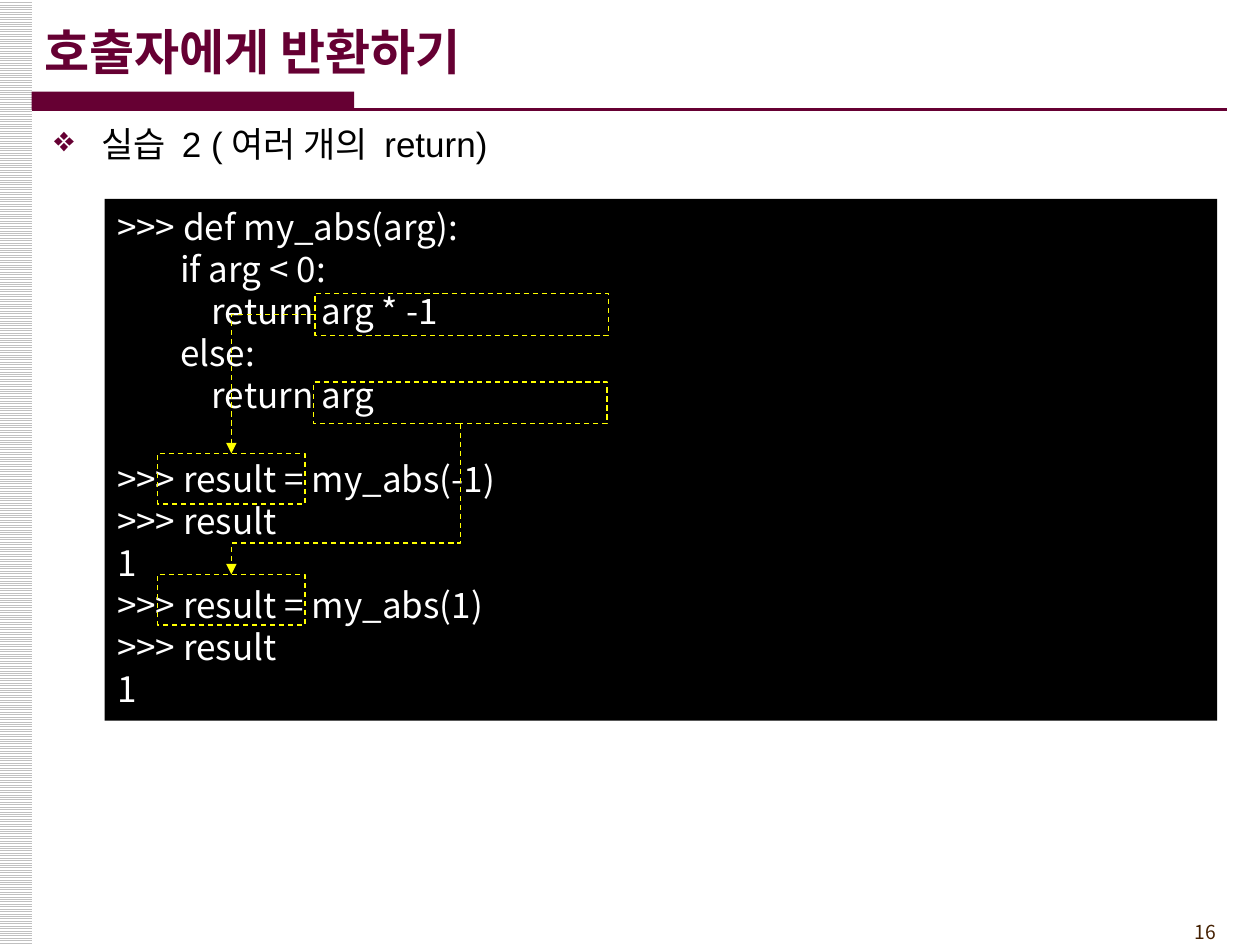
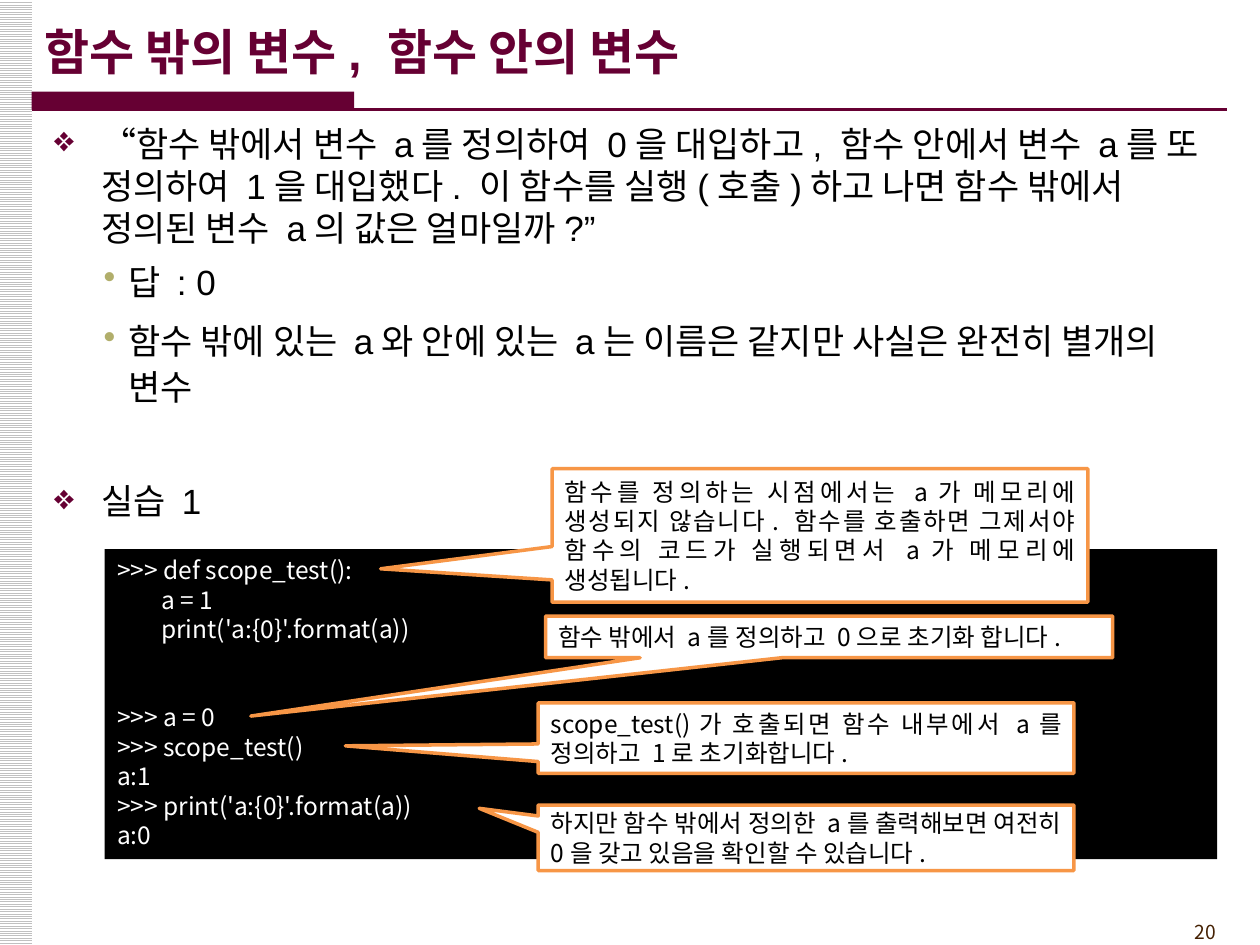
from lxml.etree import SubElement
from pptx import Presentation
from pptx.dml.color import RGBColor
from pptx.enum.dml import MSO_LINE_DASH_STYLE as DASH, MSO_PATTERN_TYPE as PATTERN
from pptx.enum.shapes import MSO_CONNECTOR as LINK, MSO_SHAPE as SHAPE
from pptx.enum.text import MSO_ANCHOR as ANCHOR, PP_ALIGN as ALIGN
from pptx.oxml.ns import qn
from pptx.util import Cm, Pt

rgb = RGBColor.from_string
WINE, OLIVE, BROWN, ORANGE = "660033", "B1AE6B", "452103", "F79646"
BLACK, WHITE, YELLOW, GREY = "000000", "FFFFFF", "FFFF00", "C0C0C0"
KOREAN = "Noto Sans CJK KR"


def write(frame, text, size=20, font="Arial", color=BLACK, bold=False, align=ALIGN.LEFT,
          indent=0, hanging=0, before=0, after=0, spacing=1.0, bullet=None, bullet_color=WINE):
    """Add one formatted paragraph to a text frame."""
    frame.word_wrap = True
    para = frame.add_paragraph() if frame.text else frame.paragraphs[0]
    para.alignment, para.line_spacing = align, spacing
    para.space_before, para.space_after = Pt(before), Pt(after)
    props = para._p.get_or_add_pPr()
    props.set("marL", str(Cm(indent)))
    props.set("indent", str(-Cm(hanging)))
    if bullet:
        SubElement(SubElement(props, qn("a:buClr")), qn("a:srgbClr"), val=bullet_color)
        SubElement(props, qn("a:buChar"), char=bullet)
    run = para.add_run()
    run.text = text
    run.font.size, run.font.bold, run.font.name = Pt(size), bold, font
    run.font.color.rgb = rgb(color)
    SubElement(run._r.rPr, qn("a:ea"), typeface=KOREAN)


def add_box(slide, place, fill=None, line=None, width=0.75, kind=SHAPE.RECTANGLE):
    """Add a flat preset shape; place is left, top, width, height in cm."""
    box = slide.shapes.add_shape(kind, *map(Cm, place))
    box.shadow.inherit = False
    if fill:
        box.fill.solid()
        box.fill.fore_color.rgb = rgb(fill)
    else:
        box.fill.background()
    if line:
        box.line.color.rgb = rgb(line)
        box.line.width = Pt(width)
    else:
        box.line.fill.background()
    return box


deck = Presentation()
deck.slide_width, deck.slide_height = Cm(25.4), Cm(19.05)

# Shared frame: striped edge, page number, title and rule
slides, bodies = [], []
for page, heading in [("16", "호출자에게 반환하기"), ("20", "함수 밖의 변수, 함수 안의 변수")]:
    slide = deck.slides.add_slide(deck.slide_layouts[6])
    edge = add_box(slide, (-0.02, 0, 0.66, 19.05))
    edge.fill.patterned()
    edge.fill.pattern = PATTERN.LIGHT_HORIZONTAL
    edge.fill.fore_color.rgb, edge.fill.back_color.rgb = rgb(GREY), rgb(WHITE)

    add_box(slide, (0.64, 1.85, 6.5, 0.36), WINE)
    rule = slide.shapes.add_connector(LINK.STRAIGHT, Cm(0.64), Cm(2.21), Cm(24.74), Cm(2.21))
    rule.line.color.rgb, rule.line.width = rgb(WINE), Pt(1.5)
    SubElement(rule._element.spPr, qn("a:effectLst"))

    number = slide.shapes.add_textbox(Cm(22.66), Cm(18.42), Cm(2.11), Cm(0.74)).text_frame
    write(number, page, size=11, font=KOREAN, color=BROWN, align=ALIGN.RIGHT)
    title = slide.shapes.add_textbox(Cm(0.64), Cm(0.23), Cm(21), Cm(1.6)).text_frame
    title.vertical_anchor = ANCHOR.MIDDLE
    write(title, heading, size=28, color=WINE, bold=True)
    bodies.append(slide.shapes.add_textbox(Cm(0.84), Cm(2.34), Cm(24.13), Cm(15.88)).text_frame)
    slides.append(slide)

returning, scoping = slides

# Body text
topic = dict(indent=0.95, hanging=0.95, before=4.5, bullet="❖")
answer = dict(indent=1.5, hanging=0.5, before=4.5, after=3, spacing=1.1,
              bullet="•", bullet_color=OLIVE)
write(bodies[0], "실습 2 (여러 개의 return)", **topic)
write(bodies[1], "“함수 밖에서 변수 a를 정의하여 0을 대입하고, 함수 안에서 변수 a를 또 정의하여 "
      "1을 대입했다. 이 함수를 실행(호출)하고 나면 함수 밖에서 정의된 변수 a의 값은 얼마일까?”", **topic)
write(bodies[1], "답 : 0", **answer)
write(bodies[1], "함수 밖에 있는 a와 안에 있는 a는 이름은 같지만 사실은 완전히 별개의 변수", **answer)
write(bodies[1], "실습 1", **{**topic, "before": 38})

# Code panels: each line is text, indent in cm, space before in points
abs_code = [
    (">>> def my_abs(arg):", 0, 0), ("if arg < 0:", 1.27, 0), ("return arg * -1", 1.91, 0),
    ("else:", 1.27, 0), ("return arg", 1.91, 0), (">>> result = my_abs(-1)", 0, 24),
    (">>> result", 0, 0), ("1", 0, 0), (">>> result = my_abs(1)", 0, 0),
    (">>> result", 0, 0), ("1", 0, 0)]
scope_code = [
    (">>> def scope_test():", 0, 0), ("a = 1", 0.89, 0), ("print('a:{0}'.format(a))", 0.89, 0),
    (">>> a = 0", 0, 33.6), (">>> scope_test()", 0, 0), ("a:1", 0, 0),
    (">>> print('a:{0}'.format(a))", 0, 0), ("a:0", 0, 0)]
for slide, top, height, size, code in [(returning, 4.01, 10.52, 20, abs_code),
                                       (scoping, 11.07, 6.25, 14, scope_code)]:
    panel = add_box(slide, (2.11, top, 22.43, height), BLACK).text_frame
    panel.vertical_anchor = ANCHOR.TOP
    for text, indent, before in code:
        write(panel, text, size=size, font=KOREAN, color=WHITE, align=ALIGN.JUSTIFY,
              indent=indent, before=before)

# Returned values and the results that receive them
flows = [((6.35, 5.92, 5.92, 0.84), (3.18, 9.14, 2.97, 1.02), 1),
         ((6.32, 7.7, 5.92, 0.84), (3.18, 11.58, 2.97, 1.02), 2)]
for value_place, result_place, start_side in flows:
    value = add_box(returning, value_place, line=YELLOW)
    result = add_box(returning, result_place, line=YELLOW)
    arrow = returning.shapes.add_connector(LINK.ELBOW, 0, 0, 0, 0)
    arrow.begin_connect(value, start_side)
    arrow.end_connect(result, 0)
    arrow.line.color.rgb, arrow.line.width = rgb(YELLOW), Pt(0.75)
    for outlined in (value, result, arrow):
        outlined.line.dash_style = DASH.DASH
    SubElement(arrow.line._get_or_add_ln(), qn("a:tailEnd"), type="triangle")
    props = arrow._element.spPr
    SubElement(props, qn("a:effectLst"))
    bend = props.find(qn("a:prstGeom"))
    if start_side == 1:
        bend.set("prst", "bentConnector2")
    else:
        # Down, left, down: a quarter turn about the same centre
        x, y, w, h = arrow.left, arrow.top, arrow.width, arrow.height
        arrow.left, arrow.top = x + (w - h) // 2, y + (h - w) // 2
        arrow.width, arrow.height = h, w
        turn = props.find(qn("a:xfrm"))
        turn.attrib.pop("flipH", None)
        turn.set("rot", str(90 * 60000))
        guides = bend.find(qn("a:avLst"))
        if guides is None:
            guides = SubElement(bend, qn("a:avLst"))
        SubElement(guides, qn("a:gd"), name="adj1", fmla="val 79300")

# Callouts: place, pointer tip, explanation
callouts = [
    ((11.13, 9.45, 10.8, 2.69), (-0.82, 0.25),
     "함수를 정의하는 시점에서는 a가 메모리에 생성되지 않습니다. 함수를 호출하면 그제서야 "
     "함수의 코드가 실행되면서 a가 메모리에 생성됩니다."),
    ((11, 12.42, 11.43, 0.84), (-1.02, 1.9), "함수 밖에서 a를 정의하고 0으로 초기화 합니다."),
    ((10.85, 14.17, 10.8, 1.42), (-0.86, 0.11),
     "scope_test()가 호출되면 함수 내부에서 a를 정의하고 1로 초기화합니다."),
    ((10.85, 16.23, 10.8, 1.32), (-0.61, -0.45),
     "하지만 함수 밖에서 정의한 a를 출력해보면 여전히 0을 갖고 있음을 확인할 수 있습니다."),
]
for place, tip, explanation in callouts:
    callout = add_box(scoping, place, WHITE, ORANGE, 2, SHAPE.RECTANGULAR_CALLOUT)
    callout.adjustments[0], callout.adjustments[1] = tip
    note = callout.text_frame
    note.margin_top = note.margin_bottom = 0
    note.vertical_anchor = ANCHOR.MIDDLE
    write(note, explanation, size=14, font=KOREAN, align=ALIGN.JUSTIFY)

deck.save("out.pptx")
